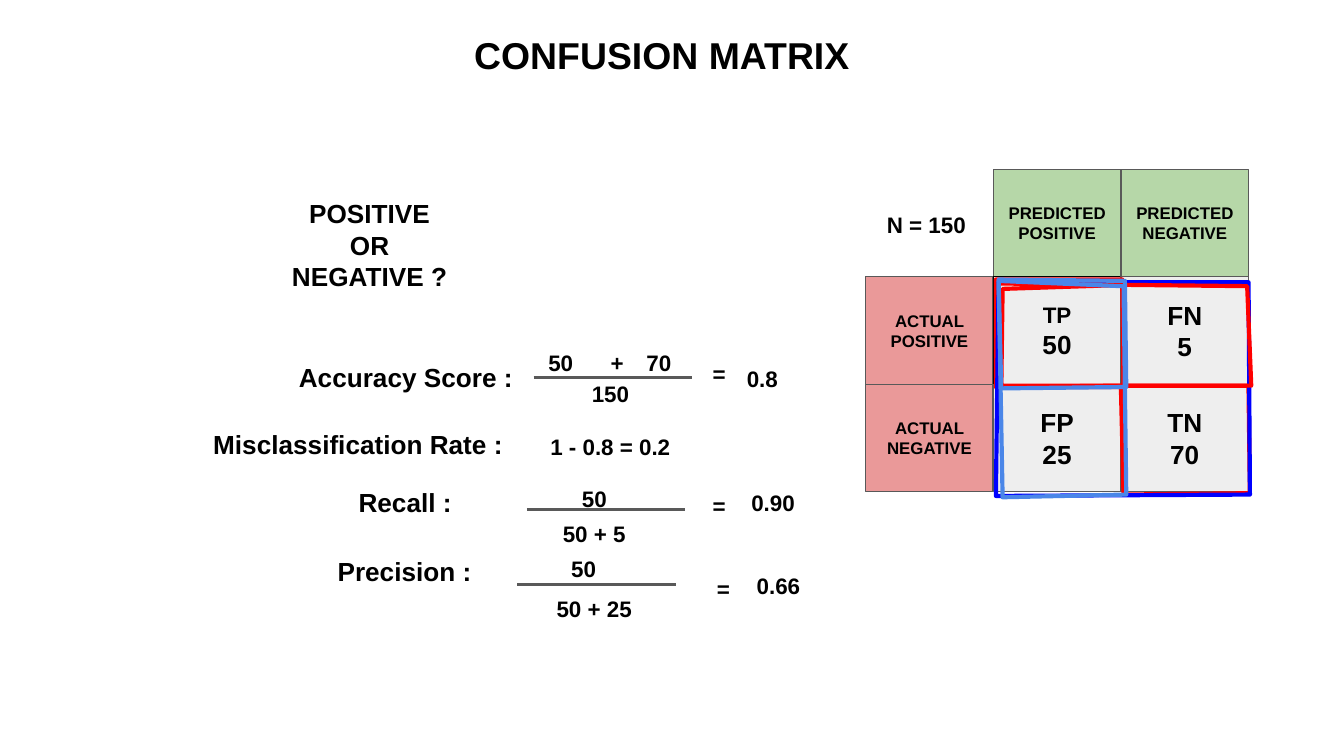
from lxml.etree import SubElement
from pptx import Presentation
from pptx.dml.color import RGBColor
from pptx.enum.shapes import MSO_CONNECTOR, MSO_SHAPE
from pptx.enum.text import MSO_ANCHOR, MSO_AUTO_SIZE, PP_ALIGN
from pptx.oxml.ns import qn
from pptx.util import Pt

PX = 9144  # 100 px to the inch
BLACK = RGBColor(0x00, 0x00, 0x00)
GRAY = RGBColor(0x59, 0x59, 0x59)
LIGHT_GRAY = RGBColor(0xEE, 0xEE, 0xEE)
GREEN = RGBColor(0xB6, 0xD7, 0xA8)
PINK = RGBColor(0xEA, 0x99, 0x99)
RED = RGBColor(0xFF, 0x00, 0x00)
BLUE = RGBColor(0x00, 0x00, 0xFF)
SKY_BLUE = RGBColor(0x4A, 0x86, 0xE8)


def write(shape, text, sizes, anchor=MSO_ANCHOR.TOP, align=PP_ALIGN.CENTER):
    """Fill a shape with bold text, one size for each paragraph."""
    frame = shape.text_frame
    frame.word_wrap = True
    frame.auto_size = MSO_AUTO_SIZE.NONE
    frame.vertical_anchor = anchor
    frame.margin_left = frame.margin_right = 10 * PX
    frame.margin_top = frame.margin_bottom = 10 * PX
    frame.text = text
    for para, size in zip(frame.paragraphs, sizes):
        para.alignment = align
        for span in para.runs:
            span.font.name = "Arial"
            span.font.size = Pt(size)
            span.font.bold = True
            span.font.color.rgb = BLACK


def add_text(left, top, width, height, text, size, align=PP_ALIGN.CENTER):
    box = page.shapes.add_textbox(left * PX, top * PX, width * PX, height * PX)
    write(box, text, [size] * (text.count("\n") + 1), align=align)


# Widescreen page, 16 to 9
deck = Presentation()
deck.slide_width = 1000 * PX
deck.slide_height = deck.slide_width * 9 // 16
page = deck.slides.add_slide(deck.slide_layouts[5])

# Title
title = page.shapes.title
title.left, title.top = 328 * PX, 14 * PX
title.width, title.height = 329 * PX, 46 * PX
write(title, "CONFUSION MATRIX", [20])

# Matrix cells: column, row, text, sizes, fill
GRID_LEFT, GRID_TOP, CELL_WIDTH, CELL_HEIGHT = 644, 126, 95, 80
cells = [
    (1, 0, "PREDICTED POSITIVE", [9], GREEN),
    (2, 0, "PREDICTED NEGATIVE", [9], GREEN),
    (0, 1, "ACTUAL POSITIVE", [9], PINK),
    (1, 1, "TP\n50", [12, 14], LIGHT_GRAY),
    (2, 1, "FN\n5", [14, 14], LIGHT_GRAY),
    (0, 2, "ACTUAL NEGATIVE", [9], PINK),
    (1, 2, "FP\n25", [14, 14], LIGHT_GRAY),
    (2, 2, "TN\n70", [14, 14], LIGHT_GRAY),
]
for column, row, text, sizes, fill in cells:
    cell = page.shapes.add_shape(
        MSO_SHAPE.RECTANGLE,
        (GRID_LEFT + column * CELL_WIDTH) * PX, (GRID_TOP + row * CELL_HEIGHT) * PX,
        CELL_WIDTH * PX, CELL_HEIGHT * PX)
    cell.shadow.inherit = False
    cell.fill.solid()
    cell.fill.fore_color.rgb = fill
    cell.line.color.rgb = BLACK if text.startswith("TP") else GRAY
    cell.line.width = Pt(0.75)
    write(cell, text, sizes, MSO_ANCHOR.MIDDLE)
add_text(650, 147, 83, 39, "N = 150", 12, PP_ALIGN.LEFT)

# Hand-drawn outlines around groups of cells
outlines = [
    (RED, [(741, 208), (741, 288), (836, 287), (835, 208)]),
    (RED, [(834, 287), (836, 368), (930, 367), (929, 287)]),
    (BLUE, [(743, 210), (741, 369), (930, 368), (929, 210)]),
    (RED, [(746, 215), (745, 288), (836, 288), (837, 212)]),
    (RED, [(743, 211), (745, 287), (931, 287), (928, 213)]),
    (SKY_BLUE, [(743, 208), (745, 289), (838, 288), (837, 209)]),
    (SKY_BLUE, [(743, 209), (746, 370), (838, 368), (836, 213)]),
]
for color, corners in outlines:
    builder = page.shapes.build_freeform(*corners[0], scale=PX)
    builder.add_line_segments(corners[1:], close=True)
    outline = builder.convert_to_shape()
    outline.shadow.inherit = False
    outline.fill.background()
    outline.line.color.rgb = color
    outline.line.width = Pt(2.25)

# Question and score names
add_text(206, 137, 138, 96, "POSITIVE\nOR NEGATIVE ?", 14)
for left, top, width, name in [
    (206, 259, 192, "Accuracy Score :"),
    (148, 309, 237, "Misclassification Rate :"),
    (240, 352, 123, "Recall :"),
    (232, 403, 138, "Precision :"),
]:
    add_text(left, top, width, 44, name, 14)

# Terms of the formulas
for left, top, width, height, term in [
    (397, 250, 45, 44, "50 "),
    (439, 250, 45, 44, "+ "),
    (470, 250, 45, 44, "70 "),
    (427, 273, 59, 39, "150 "),
    (515, 258, 45, 29, "= "),
    (540, 262, 59, 39, "0.8 "),
    (395, 312, 123, 39, "1 - 0.8 = 0.2 "),
    (422, 351, 45, 44, "50 "),
    (403, 377, 83, 39, "50 + 5 "),
    (515, 356, 45, 29, "= "),
    (548, 354, 59, 39, "0.90 "),
    (414, 403, 45, 44, "50 "),
    (403, 433, 83, 39, "50 + 25 "),
    (518, 418, 45, 29, "= "),
    (552, 416, 59, 39, "0.66 "),
]:
    add_text(left, top, width, height, term, 12)

# Fraction bars
for left, top in [(397, 281), (392, 379), (385, 435)]:
    bar = page.shapes.add_connector(
        MSO_CONNECTOR.STRAIGHT, left * PX, top * PX, (left + 118) * PX, top * PX)
    bar.line.color.rgb = GRAY
    bar.line.width = Pt(1.5)
    SubElement(bar.element.spPr, qn("a:effectLst"))

deck.save("out.pptx")
